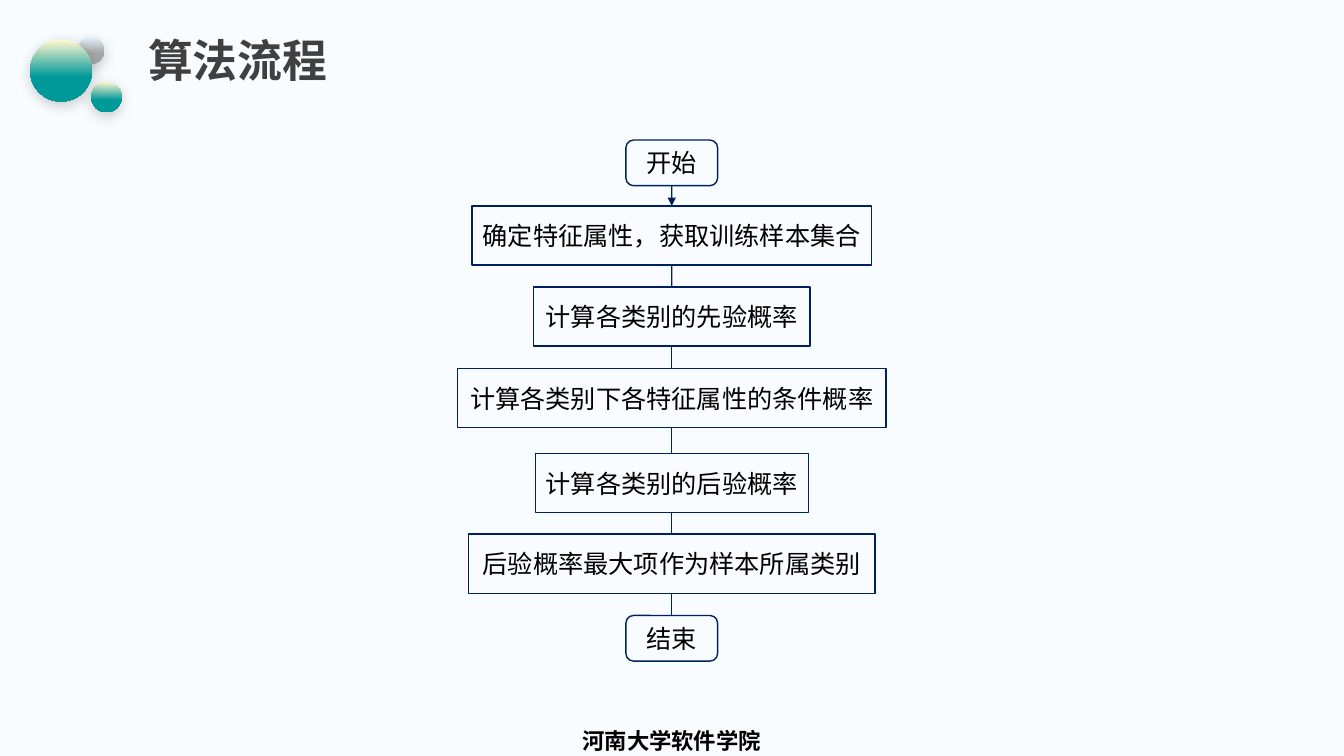
from lxml import etree
from pptx import Presentation, util as u
from pptx.dml.color import RGBColor
from pptx.enum import shapes, text
from pptx.oxml import parse_xml
from pptx.oxml.ns import nsdecls, qn

WIDTH, HEIGHT = 33.87, 19.05
CENTER = 16.93


def color(value):
    return RGBColor.from_string(value)


class FlowSlide:
    line_color = "002060"
    step_font = {"name": "Calibri", "size": u.Pt(18)}
    title_font = {"name": "Noto Sans CJK SC", "size": u.Pt(32), "bold": True}
    footer_font = {"name": "DejaVu Sans", "size": u.Pt(16), "bold": True}

    def __init__(self, deck):
        self.page = deck.slides.add_slide(deck.slide_layouts[5])
        fill = self.page.background.fill
        fill.solid()
        fill.fore_color.rgb = color("F8FCFE")

    def label(self, box, words, font, align, anchor, ink="000000", wrap=True):
        frame = box.text_frame
        frame.word_wrap = wrap
        frame.auto_size = text.MSO_AUTO_SIZE.NONE
        frame.vertical_anchor = anchor
        para = frame.paragraphs[0]
        para.alignment = align
        span = para.add_run()
        span.text = words
        for name, value in font.items():
            setattr(span.font, name, value)
        span.font.color.rgb = color(ink)
        east = etree.SubElement(span.font._element, qn("a:ea"))
        east.set("typeface", font["name"])
        return para

    def title(self, words, left, top, width, height):
        box = self.page.shapes.title
        place = {"left": left, "top": top, "width": width, "height": height}
        for name, value in place.items():
            setattr(box, name, u.Cm(value))
        para = self.label(box, words, self.title_font, text.PP_ALIGN.LEFT,
                          text.MSO_ANCHOR.MIDDLE, "404040")
        para.line_spacing = 0.9

    def footer(self, words, top, width, height):
        box = self.page.shapes.add_textbox(
            u.Cm(CENTER - width / 2), u.Cm(top), u.Cm(width), u.Cm(height))
        self.label(box, words, self.footer_font, text.PP_ALIGN.CENTER, text.MSO_ANCHOR.TOP)

    def bubble(self, left, top, size, light, dark):
        box = self.page.shapes.add_shape(
            shapes.MSO_SHAPE.OVAL, u.Cm(left), u.Cm(top), u.Cm(size), u.Cm(size))
        box.line.fill.background()
        stops = "".join(
            f'<a:gs pos="{place * 1000}"><a:srgbClr val="{shade}"/></a:gs>'
            for place, shade in ((1, light), (60, dark), (100, dark)))
        gradient = parse_xml(
            f'<a:gradFill {nsdecls("a")}><a:gsLst>{stops}</a:gsLst>'
            '<a:lin ang="5400000" scaled="0"/></a:gradFill>')
        shadow = parse_xml(
            f'<a:effectLst {nsdecls("a")}><a:outerShdw blurRad="{u.Pt(10)}" '
            f'dist="{u.Pt(3)}" dir="5400000" algn="t" rotWithShape="0">'
            '<a:srgbClr val="000000"><a:alpha val="20000"/></a:srgbClr>'
            '</a:outerShdw></a:effectLst>')
        properties = box._element.spPr
        properties.find(qn("a:prstGeom")).addnext(gradient)
        properties.append(shadow)

    def step(self, kind, words, top, width, height):
        box = self.page.shapes.add_shape(
            kind, u.Cm(CENTER - width / 2), u.Cm(top), u.Cm(width), u.Cm(height))
        box.shadow.inherit = False
        box.fill.background()
        box.line.color.rgb = color(self.line_color)
        box.line.width = u.Pt(1)
        self.label(box, words, self.step_font, text.PP_ALIGN.CENTER,
                   text.MSO_ANCHOR.MIDDLE, wrap=False)
        return box

    def link(self, upper, lower, arrow):
        line = self.page.shapes.add_connector(shapes.MSO_CONNECTOR.STRAIGHT, 0, 0, 0, 0)
        line.begin_connect(upper, 2)
        line.end_connect(lower, 0)
        line.line.color.rgb = color(self.line_color)
        line.line.width = u.Pt(1)
        if arrow:
            outline = line._element.spPr.find(qn("a:ln"))
            etree.SubElement(outline, qn("a:tailEnd")).set("type", "triangle")
        etree.SubElement(line._element.spPr, qn("a:effectLst"))


def main():
    deck = Presentation()
    deck.slide_width, deck.slide_height = u.Cm(WIDTH), u.Cm(HEIGHT)
    slide = FlowSlide(deck)

    slide.footer("河南大学软件学院", 18.21, 8.8, 0.84)
    for bubble in (
        (1.96, 0.94, 0.67, "E1F0F9", "A5A5A5"),
        (2.3, 2.06, 0.77, "FFF6CF", "009999"),
        (0.76, 1, 1.56, "FFF6CF", "009999"),
    ):
        slide.bubble(*bubble)
    slide.title("算法流程", 3.48, 0.84, 22.28, 1.5)

    terminal = shapes.MSO_SHAPE.ROUNDED_RECTANGLE
    process = shapes.MSO_SHAPE.RECTANGLE
    steps = [slide.step(*step) for step in (
        (terminal, "开始", 3.53, 2.31, 1.15),
        (process, "确定特征属性，获取训练样本集合", 5.19, 10.06, 1.49),
        (process, "计算各类别的先验概率", 7.23, 6.96, 1.49),
        (process, "计算各类别下各特征属性的条件概率", 9.29, 10.8, 1.49),
        (process, "计算各类别的后验概率", 11.43, 6.88, 1.49),
        (process, "后验概率最大项作为样本所属类别", 13.46, 10.24, 1.49),
        (terminal, "结束", 15.51, 2.31, 1.15),
    )]
    for index, (upper, lower) in enumerate(zip(steps, steps[1:])):
        slide.link(upper, lower, arrow=index == 0)

    deck.save("out.pptx")


if __name__ == "__main__":
    main()
